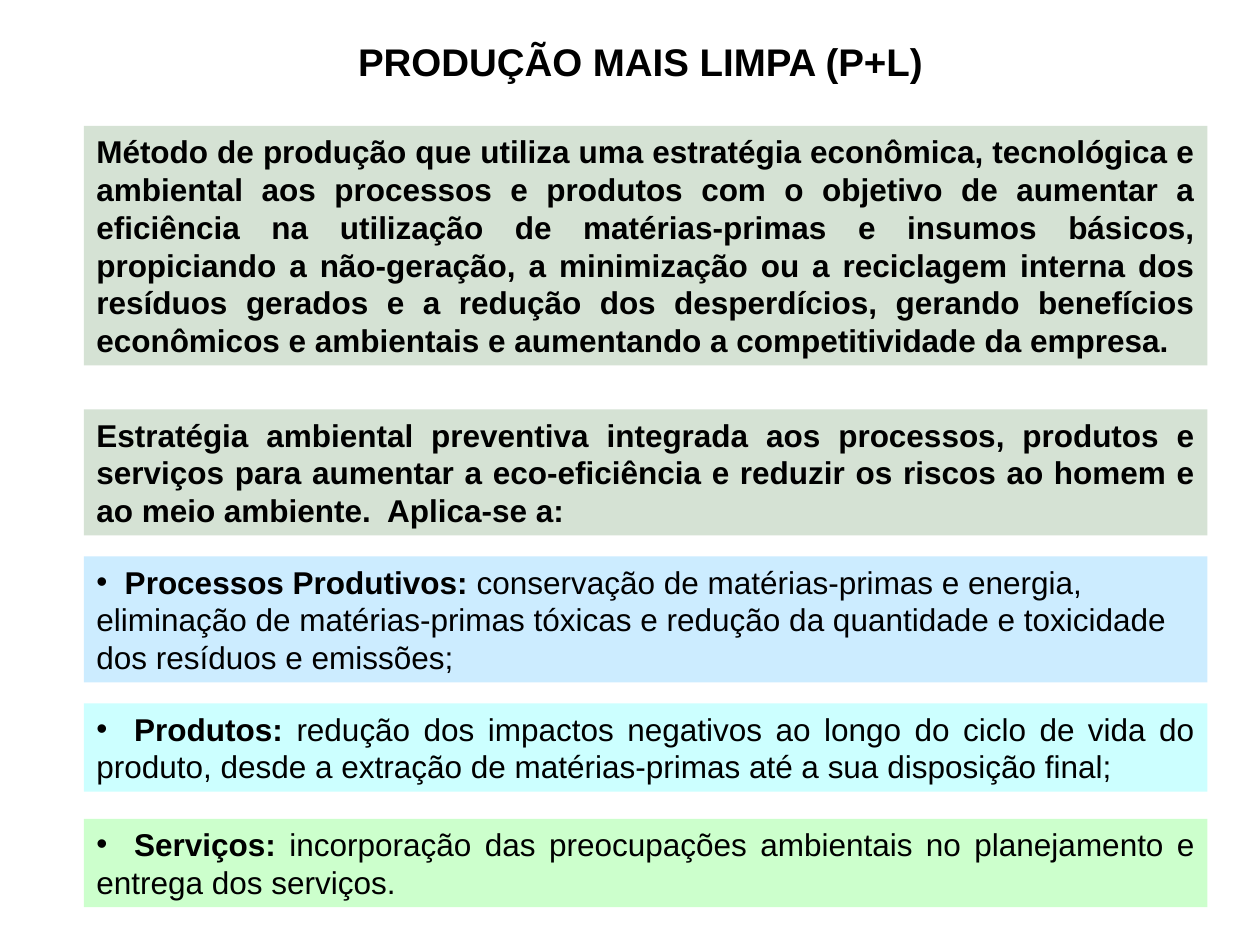
from dataclasses import dataclass

from lxml.etree import SubElement
from pptx import Presentation
from pptx.dml.color import RGBColor
from pptx.enum.shapes import MSO_SHAPE
from pptx.enum.text import MSO_ANCHOR, MSO_AUTO_SIZE, PP_ALIGN
from pptx.oxml.ns import qn
from pptx.shapes.autoshape import Shape
from pptx.slide import Slide
from pptx.util import Pt

BLACK = RGBColor(0x00, 0x00, 0x00)
SAGE = RGBColor(0xD5, 0xE2, 0xD4)
SKY = RGBColor(0xCC, 0xEC, 0xFF)
AQUA = RGBColor(0xCC, 0xFF, 0xFF)
MINT = RGBColor(0xCC, 0xFF, 0xCC)

FONT = "Arial"
PANEL_LEFT, PANEL_WIDTH = 48, 642
LINE_HEIGHT, PANEL_PADDING = 21.6, 7.2


@dataclass(frozen=True)
class Panel:
    top: float
    lines: int
    fill: RGBColor
    bold_text: str
    plain_text: str = ""
    align: PP_ALIGN = PP_ALIGN.JUSTIFY
    bullet: bool = False


PANELS = [
    Panel(72, 6, SAGE,
          "Método de produção que utiliza uma estratégia econômica, tecnológica e "
          "ambiental aos processos e produtos com o objetivo de aumentar a eficiência "
          "na utilização de matérias-primas e insumos básicos, propiciando a "
          "não-geração, a minimização ou a reciclagem interna dos resíduos gerados e "
          "a redução dos desperdícios, gerando benefícios econômicos e ambientais e "
          "aumentando a competitividade da empresa."),
    Panel(234, 3, SAGE,
          "Estratégia ambiental preventiva integrada aos processos, produtos e "
          "serviços para aumentar a eco-eficiência e reduzir os riscos ao homem e ao "
          "meio ambiente.  Aplica-se a:"),
    Panel(318, 3, SKY, "  Processos Produtivos:",
          " conservação de matérias-primas e energia, eliminação de matérias-primas "
          "tóxicas e redução da quantidade e toxicidade dos resíduos e emissões;",
          align=PP_ALIGN.LEFT, bullet=True),
    Panel(402, 2, AQUA, "  Produtos:",
          " redução dos impactos negativos ao longo do ciclo de vida do produto, "
          "desde a extração de matérias-primas até a sua disposição final;",
          bullet=True),
    Panel(468, 2, MINT, "  Serviços:",
          " incorporação das preocupações ambientais no planejamento e entrega dos "
          "serviços.",
          bullet=True),
]


def write_text(shape: Shape, bold_text: str, plain_text: str = "", *, size: float,
               align: PP_ALIGN, bullet: bool = False) -> None:
    frame = shape.text_frame
    frame.word_wrap = True
    frame.auto_size = MSO_AUTO_SIZE.SHAPE_TO_FIT_TEXT
    frame.vertical_anchor = MSO_ANCHOR.TOP
    paragraph = frame.paragraphs[0]
    paragraph.alignment = align
    if bullet:
        properties = paragraph._p.get_or_add_pPr()
        SubElement(properties, qn("a:buFont")).set("typeface", FONT)
        SubElement(properties, qn("a:buChar")).set("char", "•")
    for text, bold in ((bold_text, True), (plain_text, False)):
        if text:
            run = paragraph.add_run()
            run.text = text
            run.font.name = FONT
            run.font.size = Pt(size)
            run.font.bold = bold
            run.font.color.rgb = BLACK


def draw_title(slide: Slide, text: str) -> None:
    shape = slide.shapes.add_textbox(Pt(54), Pt(18), Pt(636), Pt(34))
    shape.text_frame.margin_right = Pt(19.2)
    write_text(shape, text, size=22, align=PP_ALIGN.CENTER)


def draw_panel(slide: Slide, panel: Panel) -> None:
    height = panel.lines * LINE_HEIGHT + PANEL_PADDING
    shape = slide.shapes.add_shape(MSO_SHAPE.RECTANGLE, Pt(PANEL_LEFT), Pt(panel.top),
                                   Pt(PANEL_WIDTH), Pt(height))
    shape.shadow.inherit = False
    shape.fill.solid()
    shape.fill.fore_color.rgb = panel.fill
    shape.line.fill.background()
    write_text(shape, panel.bold_text, panel.plain_text, size=18,
               align=panel.align, bullet=panel.bullet)


def main() -> None:
    presentation = Presentation()
    presentation.slide_width, presentation.slide_height = Pt(720), Pt(540)
    slide = presentation.slides.add_slide(presentation.slide_layouts[6])
    draw_title(slide, "PRODUÇÃO MAIS LIMPA (P+L)")
    for panel in PANELS:
        draw_panel(slide, panel)
    presentation.save("out.pptx")


if __name__ == "__main__":
    main()
